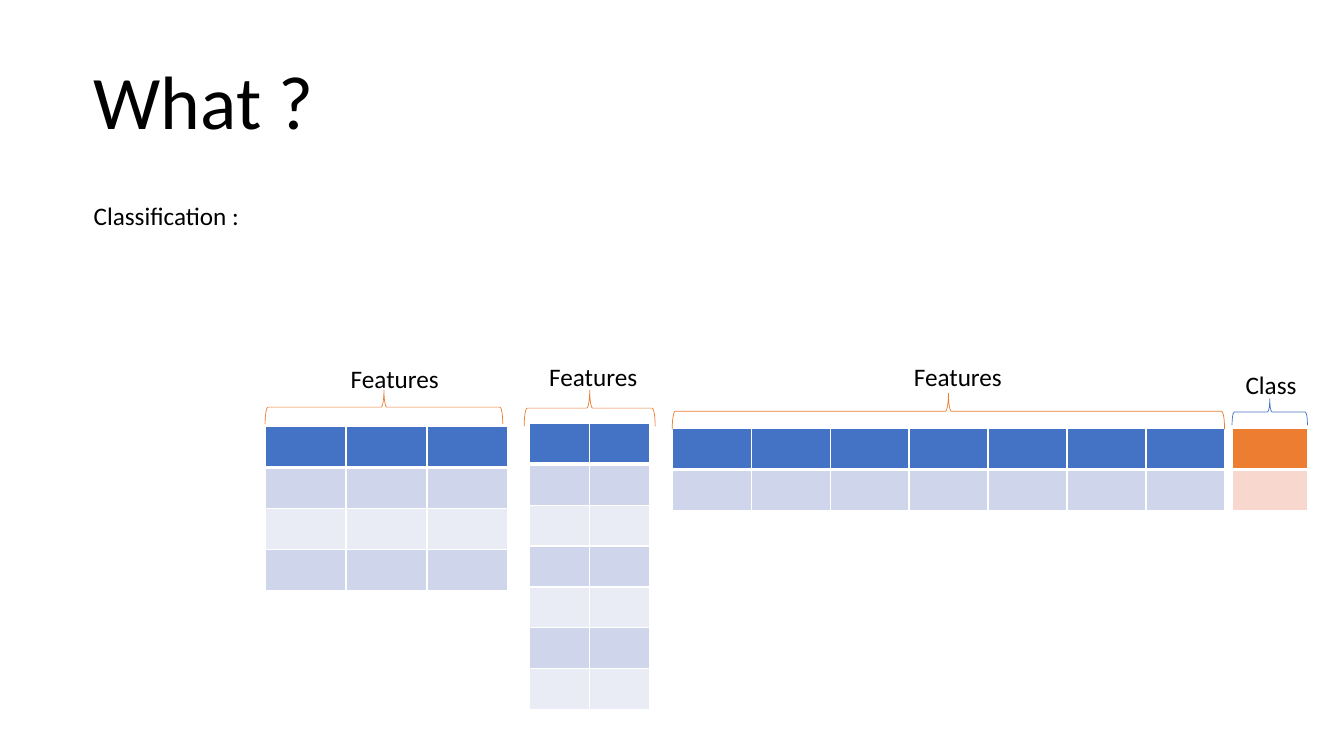
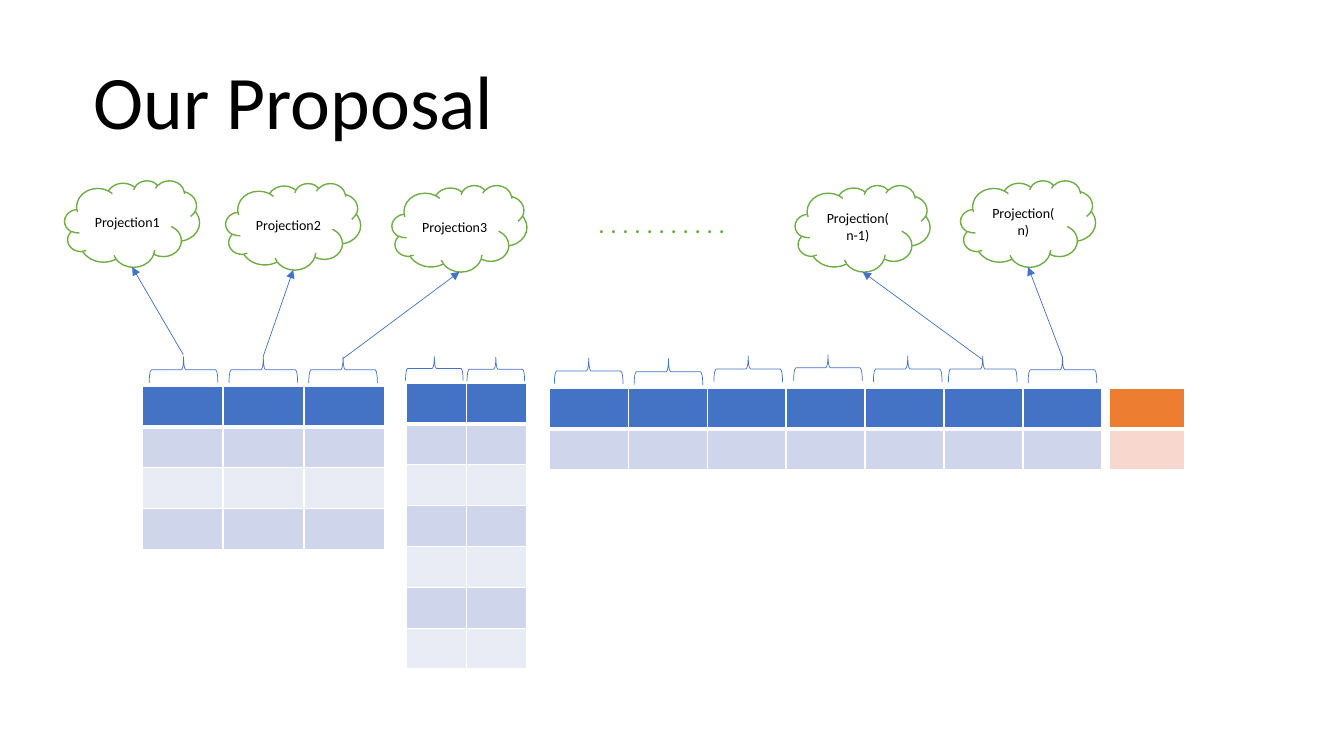
from lxml import etree
from pptx import Presentation
from pptx.dml.color import RGBColor
from pptx.enum.shapes import MSO_CONNECTOR, MSO_SHAPE
from pptx.enum.text import MSO_ANCHOR, MSO_AUTO_SIZE, PP_ALIGN
from pptx.oxml.ns import qn
from pptx.util import Cm, Pt

LEFT_BRACE, RIGHT_BRACE = MSO_SHAPE.LEFT_BRACE, MSO_SHAPE.RIGHT_BRACE
CLOUD = MSO_SHAPE.CLOUD
STRAIGHT = MSO_CONNECTOR.STRAIGHT
MIDDLE = MSO_ANCHOR.MIDDLE
CENTER = PP_ALIGN.CENTER
GROW = MSO_AUTO_SIZE.SHAPE_TO_FIT_TEXT

BLACK = RGBColor(0x00, 0x00, 0x00)
WHITE = RGBColor(0xFF, 0xFF, 0xFF)
BLUE = RGBColor(0x44, 0x72, 0xC4)
BLUE_BAND = RGBColor(0xCF, 0xD5, 0xEA)
BLUE_PALE = RGBColor(0xE9, 0xEB, 0xF5)
ORANGE = RGBColor(0xED, 0x7D, 0x31)
ORANGE_BAND = RGBColor(0xF8, 0xD7, 0xCE)
GREEN = RGBColor(0x70, 0xAD, 0x47)

FEATURE_FILLS = (BLUE, BLUE_BAND, BLUE_PALE)
CLASS_FILLS = (ORANGE, ORANGE_BAND, ORANGE_BAND)
ROW_HEIGHT = 1.03
CLOUD_WIDTH, CLOUD_HEIGHT = 3.4, 2.18

# Offset in x and y, columns, column width, rows, fills (header, odd, even)
DATA_TABLES = (
    (10.26, 0.13, 7, 1.99, 2, FEATURE_FILLS),
    (24.38, 0.13, 1, 1.9, 2, CLASS_FILLS),
    (0, 0.08, 3, 2.04, 4, FEATURE_FILLS),
    (6.65, 0, 2, 1.52, 7, FEATURE_FILLS),
)


class Deck:
    """Shared style and the slide being filled; all lengths in centimetres."""

    font = "Calibri"

    def __init__(self):
        self.presentation = Presentation()
        self.presentation.slide_width = Cm(33.87)
        self.presentation.slide_height = Cm(19.05)
        self.slide = None

    def new_slide(self, title, title_width):
        blank = self.presentation.slide_layouts[6]
        self.slide = self.presentation.slides.add_slide(blank)
        self.text(title, 2.11, 1.24, title_width, 2.57, size=54)

    def style(self, paragraph, size, color):
        paragraph.font.name = self.font
        paragraph.font.size = Pt(size)
        paragraph.font.color.rgb = color

    def text(self, words, left, top, width, height=1.02, size=18,
             color=BLACK, wrap=False):
        box = self.slide.shapes.add_textbox(Cm(left), Cm(top), Cm(width), Cm(height))
        frame = box.text_frame
        frame.word_wrap = wrap
        frame.auto_size = GROW
        frame.text = words
        self.style(frame.paragraphs[0], size, color)

    def outline(self, preset, left, top, width, height, color, weight):
        shape = self.slide.shapes.add_shape(
            preset, Cm(left), Cm(top), Cm(width), Cm(height))
        shape.shadow.inherit = False
        shape.fill.background()
        shape.line.color.rgb = color
        shape.line.width = Pt(weight)
        return shape

    def brace(self, left, top, width, height, color=BLUE,
              preset=LEFT_BRACE, rotation=90):
        """Upward brace; left, top, width and height are those after turning."""
        shift = (width - height) / 2
        shape = self.outline(preset, left + shift, top - shift,
                             height, width, color, 0.5)
        shape.rotation = rotation

    def cloud(self, words, left, top):
        shape = self.outline(CLOUD, left, top, CLOUD_WIDTH, CLOUD_HEIGHT, GREEN, 1)
        shape.fill.solid()
        shape.fill.fore_color.rgb = WHITE
        frame = shape.text_frame
        frame.word_wrap = True
        frame.vertical_anchor = MIDDLE
        frame.text = words
        frame.paragraphs[0].alignment = CENTER
        self.style(frame.paragraphs[0], 10, BLACK)

    def arrow(self, x1, y1, x2, y2):
        line = self.slide.shapes.add_connector(
            STRAIGHT, Cm(x1), Cm(y1), Cm(x2), Cm(y2))
        line.line.color.rgb = BLUE
        line.line.width = Pt(0.5)
        etree.SubElement(line.line._get_or_add_ln(), qn("a:tailEnd"), type="triangle")
        etree.SubElement(line._element.spPr, qn("a:effectLst"))

    def cell(self, cell, fill, bottom):
        properties = cell._tc.get_or_add_tcPr()
        for side, weight in (("L", 1), ("R", 1), ("T", 1), ("B", bottom)):
            border = etree.SubElement(properties, qn(f"a:ln{side}"), w=str(Pt(weight)))
            paint = etree.SubElement(border, qn("a:solidFill"))
            etree.SubElement(paint, qn("a:srgbClr"), val=str(WHITE))
        cell.fill.solid()
        cell.fill.fore_color.rgb = fill

    def table(self, left, top, columns, column_width, rows, fills):
        header, odd, even = fills
        table = self.slide.shapes.add_table(
            rows, columns, Cm(left), Cm(top),
            Cm(columns * column_width), Cm(rows * ROW_HEIGHT)).table
        table.first_row = table.horz_banding = False
        for column in table.columns:
            column.width = Cm(column_width)
        for index, row in enumerate(table.rows):
            row.height = Cm(ROW_HEIGHT)
            fill = header if index == 0 else odd if index % 2 else even
            for cell in row.cells:
                self.cell(cell, fill, bottom=1 if index else 3)

    def data_tables(self, left, top):
        for dx, dy, *layout in DATA_TABLES:
            self.table(left + dx, top + dy, *layout)


deck = Deck()

# Slide 1: feature tables and the class column
deck.new_slide("What ?", 6.12)
deck.text("Classification :", 2.11, 4.93, 8.94, wrap=True)
deck.data_tables(6.68, 10.67)

deck.brace(16.94, 9.91, 13.92, 0.91, ORANGE)
deck.brace(13.21, 9.83, 3.3, 0.91, ORANGE)
deck.brace(6.68, 9.83, 5.99, 0.86, ORANGE)
deck.brace(31.05, 10.05, 1.9, 0.66, preset=RIGHT_BRACE, rotation=270)

deck.text("Features", 22.78, 8.99, 2.74)
deck.text("Features", 13.59, 8.99, 3.05, wrap=True)
deck.text("Features", 8.59, 9.02, 3.05, wrap=True)
deck.text("Class", 31.14, 9.19, 1.8)

# Slide 2: one projection per feature
deck.new_slide("Our Proposal", 10.69)
deck.data_tables(3.58, 9.65)

# Braces by run: first left, step, width, height, tops
feature_braces = (
    (3.76, 2.01, 1.73, 0.66, (8.99, 8.99, 8.99)),
    (10.22, 1.55, 1.45, 0.61, (8.98, 9.0)),
    (13.97, 2.01, 1.73, 0.66, (9.02, 9.04, 8.97, 8.94, 8.97)),
    (23.9, 2.01, 1.73, 0.66, (8.97, 8.99)),
)
for first, step, width, height, tops in feature_braces:
    for index, top in enumerate(tops):
        deck.brace(first + index * step, top, width, height)

# Clouds with the start of the arrow that rises to each
projections = (
    ("Projection1", 1.63, 4.55, 4.62, 8.94),
    ("Projection2", 5.69, 4.62, 6.63, 8.99),
    ("Projection3", 9.88, 4.67, 8.64, 9.04),
    ("Projection(n-1)", 20.04, 4.67, 24.77, 9.07),
    ("Projection(n)", 24.21, 4.55, 26.77, 8.99),
)
for words, left, top, start_x, start_y in projections:
    deck.cloud(words, left, top)
    deck.arrow(start_x, start_y, left + CLOUD_WIDTH / 2, top + CLOUD_HEIGHT)
deck.text(". " * 11, 14.83, 5.13, 3.89, color=GREEN)

deck.presentation.save("out.pptx")
